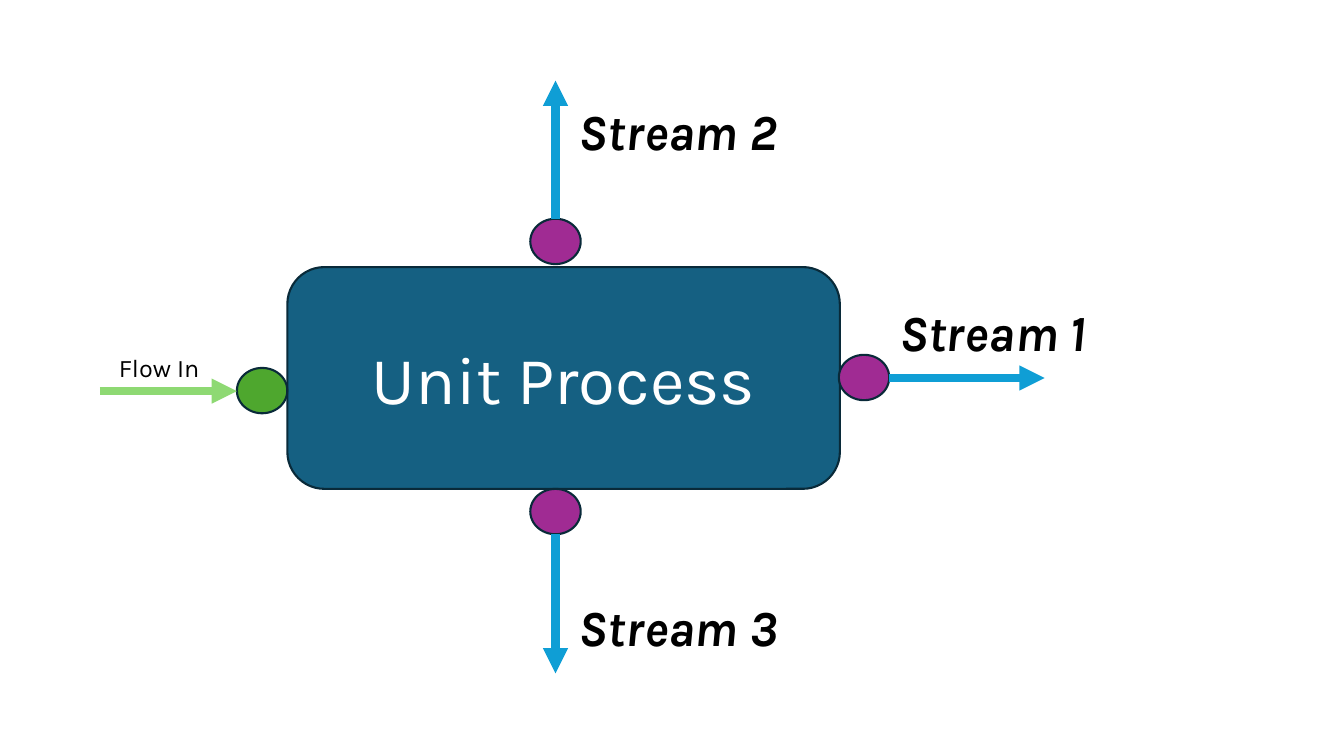
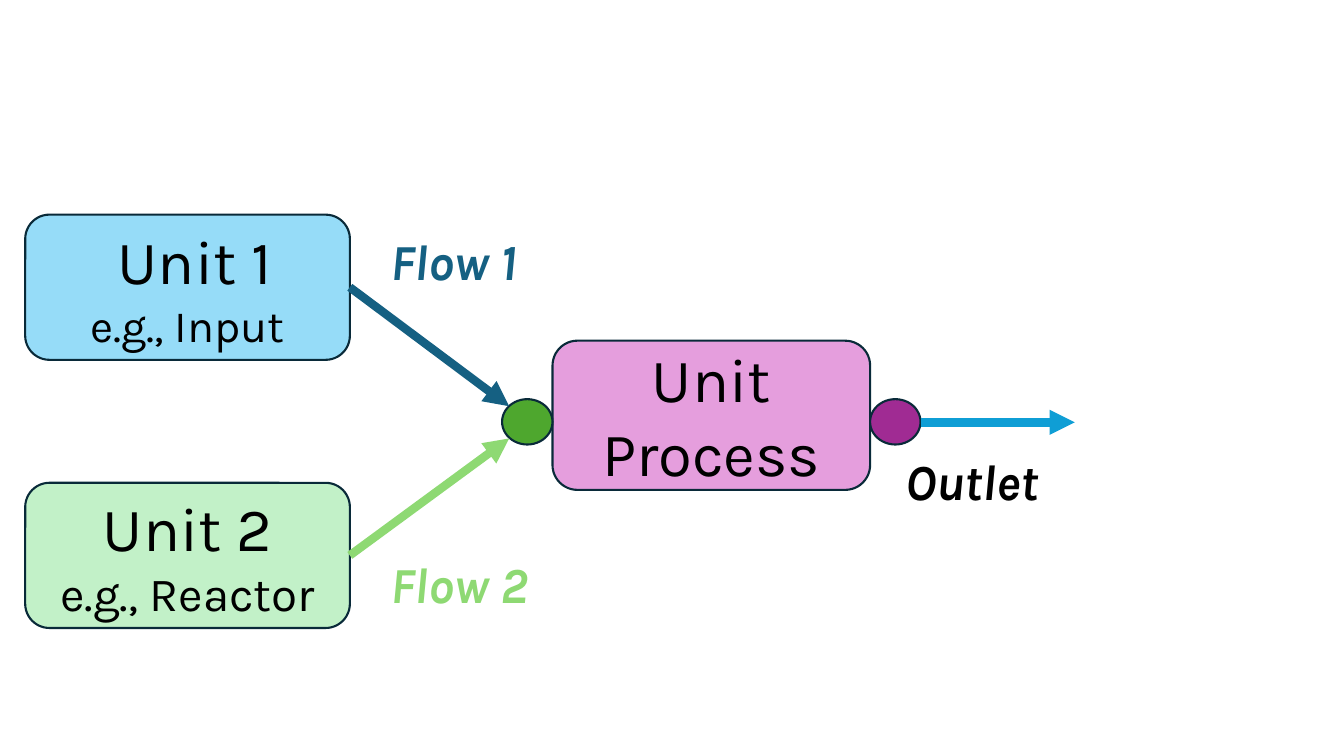
from lxml.etree import SubElement
from pptx import Presentation
from pptx.dml.color import RGBColor
from pptx.enum.shapes import MSO_CONNECTOR as Connector, MSO_SHAPE as Shape
from pptx.enum.text import MSO_ANCHOR as Anchor, MSO_AUTO_SIZE as AutoSize, PP_ALIGN as Align
from pptx.oxml.ns import qn
from pptx.util import Inches, Pt

FONT = "Karla"
BLACK, WHITE, OUTLINE = "000000", "FFFFFF", "092A39"
TEAL, BLUE, PURPLE = "156082", "0F9ED5", "A02B93"
GREEN, LIGHT_GREEN = "4EA72E", "8ED973"
PORT_WIDTH, PORT_HEIGHT = 0.5, 0.45
TOP, RIGHT = 0, 3


def add_node(slide, kind, left, top, width, height, fill):
    shape = slide.shapes.add_shape(kind, Inches(left), Inches(top), Inches(width), Inches(height))
    shape.shadow.inherit = False
    shape.fill.solid()
    shape.fill.fore_color.rgb = RGBColor.from_string(fill)
    shape.line.color.rgb = RGBColor.from_string(OUTLINE)
    shape.line.width = Pt(1.5)
    return shape


def add_run(paragraph, text, size, color, emphasis=False):
    run = paragraph.add_run()
    run.text = text
    run.font.name = FONT
    run.font.size = Pt(size)
    run.font.color.rgb = RGBColor.from_string(color)
    if emphasis:
        run.font.bold = run.font.italic = True


streams_slide = {
    "boxes": {
        "process": (2.85, 2.65, 5.48, 2.2, TEAL, WHITE, [("Unit Process", 48)]),
    },
    "ports": {
        "stream 2": (5.26, 2.17, PURPLE),
        "stream 1": (8.32, 3.52, PURPLE),
        "stream 3": (5.26, 4.85, PURPLE),
        "inlet": (2.35, 3.65, GREEN),
    },
    "arrows": [
        (0.99, 3.88, 2.35, 3.88, LIGHT_GREEN, None),
        (5.51, 2.17, 5.51, 0.8, BLUE, ("stream 2", TOP)),
        (5.51, 5.3, 5.51, 6.68, BLUE, None),
        (8.82, 3.75, 10.36, 3.75, BLUE, None),
    ],
    "labels": [
        ("Flow In", 1.08, 3.45, 1.09, 0.4, 18, BLACK, False),
        ("Stream 2", 5.64, 0.94, 2.56, 0.71, 36, BLACK, True),
        ("Stream 1", 8.82, 2.94, 2.56, 0.71, 36, BLACK, True),
        ("Stream 3", 5.64, 5.86, 2.56, 0.71, 36, BLACK, True),
    ],
}

mixing_slide = {
    "boxes": {
        "process": (5.48, 3.38, 3.15, 1.48, "E59EDD", BLACK, [("Unit Process", 44)]),
        "unit 1": (0.25, 2.13, 3.22, 1.44, "96DCF8", BLACK, [(" Unit 1", 44), ("e.g., Input", 32)]),
        "unit 2": (0.25, 4.79, 3.22, 1.44, "C2F1C8", BLACK, [("Unit 2", 44), ("e.g., Reactor", 34)]),
    },
    "ports": {
        "outlet": (8.63, 3.96, PURPLE),
        "inlet": (4.98, 3.96, GREEN),
    },
    "arrows": [
        (3.47, 2.85, 5.05, 4.03, TEAL, ("unit 1", RIGHT)),
        (3.47, 5.51, 5.05, 4.35, LIGHT_GREEN, ("unit 2", RIGHT)),
        (9.13, 4.19, 10.66, 4.19, BLUE, None),
    ],
    "labels": [
        ("Outlet", 8.88, 4.42, 1.83, 0.71, 36, BLACK, True),
        ("Flow 1", 3.77, 2.23, 2.56, 0.71, 36, TEAL, True),
        ("Flow 2", 3.77, 5.44, 2.56, 0.71, 36, LIGHT_GREEN, True),
    ],
}

presentation = Presentation()
presentation.slide_width = Inches(13.33)
presentation.slide_height = Inches(7.5)

for diagram in (streams_slide, mixing_slide):
    slide = presentation.slides.add_slide(presentation.slide_layouts[6])
    nodes = {}

    for name, (left, top, width, height, fill, color, lines) in diagram["boxes"].items():
        box = add_node(slide, Shape.ROUNDED_RECTANGLE, left, top, width, height, fill)
        nodes[name] = box
        frame = box.text_frame
        frame.word_wrap = True
        frame.vertical_anchor = Anchor.MIDDLE
        for index, (text, size) in enumerate(lines):
            paragraph = frame.add_paragraph() if index else frame.paragraphs[0]
            paragraph.alignment = Align.CENTER
            add_run(paragraph, text, size, color)

    for name, (left, top, fill) in diagram["ports"].items():
        nodes[name] = add_node(slide, Shape.OVAL, left, top, PORT_WIDTH, PORT_HEIGHT, fill)

    for x1, y1, x2, y2, color, joint in diagram["arrows"]:
        arrow = slide.shapes.add_connector(
            Connector.STRAIGHT, Inches(x1), Inches(y1), Inches(x2), Inches(y2))
        arrow.line.color.rgb = RGBColor.from_string(color)
        arrow.line.width = Pt(6)
        properties = arrow._element.spPr
        SubElement(properties.find(qn("a:ln")), qn("a:tailEnd"), type="triangle")
        SubElement(properties, qn("a:effectLst"))
        if joint:
            name, site = joint
            arrow.begin_connect(nodes[name], site)

    for text, left, top, width, height, size, color, emphasis in diagram["labels"]:
        label = slide.shapes.add_textbox(Inches(left), Inches(top), Inches(width), Inches(height))
        label.text_frame.word_wrap = True
        label.text_frame.auto_size = AutoSize.SHAPE_TO_FIT_TEXT
        add_run(label.text_frame.paragraphs[0], text, size, color, emphasis)

presentation.save("out.pptx")
